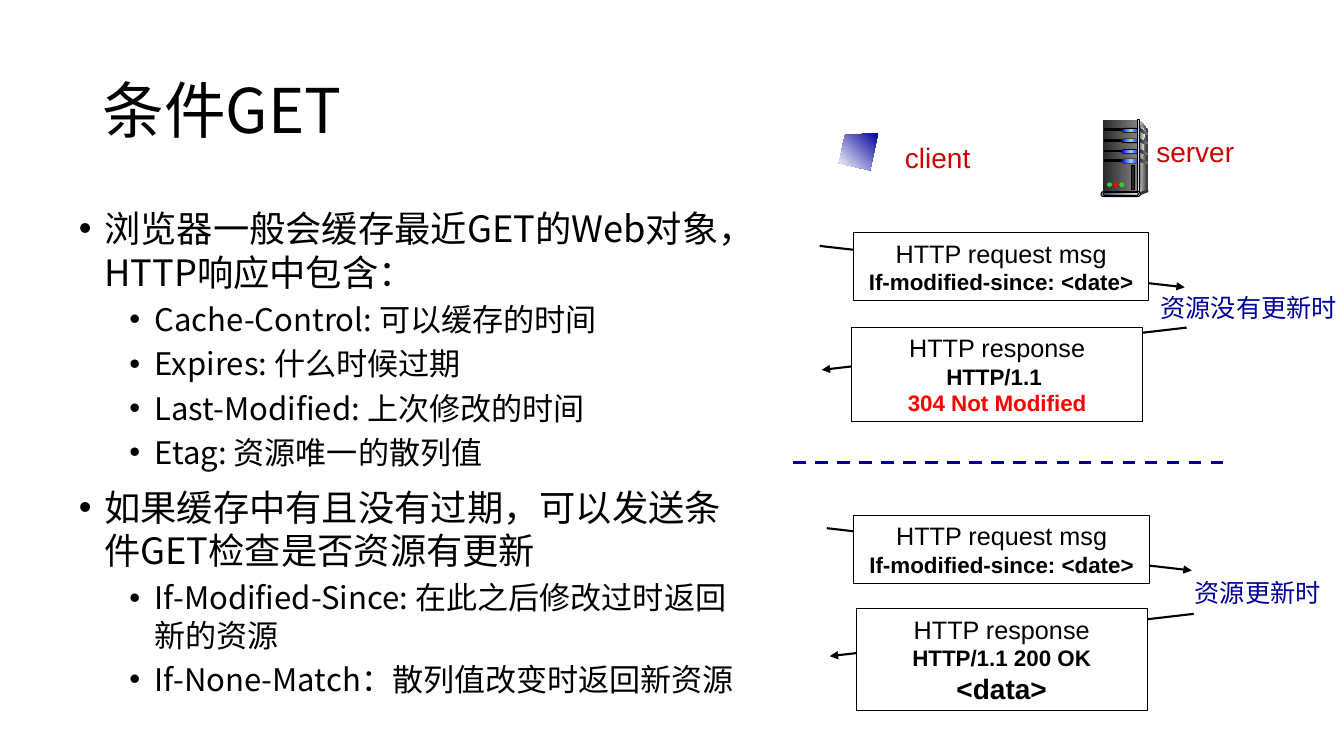
import copy
import pptx
import pptx.util
import pptx.dml.color
import pptx.enum.dml
import pptx.enum.shapes
import pptx.enum.text
import pptx.oxml.ns
import lxml.etree

RGB = pptx.dml.color.RGBColor
KIND = pptx.enum.shapes.MSO_SHAPE
ALIGN = pptx.enum.text.PP_ALIGN
BLACK, WHITE = RGB(0, 0, 0), RGB(255, 255, 255)
RED, BRICK, NAVY = RGB(255, 0, 0), RGB(0xCC, 0, 0), RGB(0, 0, 0x99)
GREEN, BLUE, SKY = RGB(0x33, 0xCC, 0x33), RGB(0, 0, 255), RGB(0x99, 0xCC, 0xFF)
COAL, DARK, GREY = RGB(0x29, 0x29, 0x29), RGB(0x33, 0x33, 0x33), RGB(0x80, 0x80, 0x80)
PALE, SNOW = RGB(0xDD, 0xDD, 0xDD), RGB(0xF8, 0xF8, 0xF8)
SLATE, MIST = RGB(0x44, 0x54, 0x6A), RGB(0xE7, 0xE6, 0xE6)
HAN, LATIN = "Noto Sans CJK SC", "Arial"

# Content
TITLE = "条件GET"
POINTS = [
    (0, "浏览器一般会缓存最近GET的Web对象，HTTP响应中包含："),
    (1, "Cache-Control: 可以缓存的时间"),
    (1, "Expires: 什么时候过期"),
    (1, "Last-Modified: 上次修改的时间"),
    (1, "Etag: 资源唯一的散列值"),
    (0, "如果缓存中有且没有过期，可以发送条件GET检查是否资源有更新"),
    (1, "If-Modified-Since: 在此之后修改过时返回新的资源"),
    (1, "If-None-Match：散列值改变时返回新资源"),
]
LEVELS = [(25.9, 0.25, 10), (22.2, 0.75, 5)]  # size, indent, space before
ASK = [("HTTP request msg", 18, False, BLACK),
       ("If-modified-since: <date>", 16, True, BLACK)]
SAME = [("HTTP response", 18, False, BLACK), ("HTTP/1.1 ", 16, True, BLACK),
        ("304 Not Modified", 16, True, RED)]
FRESH = [("HTTP response", 18, False, BLACK), ("HTTP/1.1 200 OK", 16, True, BLACK),
         ("<data>", 20, True, BLACK)]
# Arrow ends, box and lines, on a grid of 1333 columns by 750 rows
STEPS = [
    ((813, 244, 1175, 285), (846.5, 230.5, 293, 68), ASK),
    ((1177, 325, 815, 367), (844.5, 324.5, 289, 94), SAME),
    ((820, 524, 1182, 566), (847, 511, 293, 68), ASK),
    ((1184, 609, 823, 651), (849, 603.5, 289, 101), FRESH),
]
LABELS = [
    ("资源没有更新时", (1136.5, 285, 204, 40), 18, NAVY),
    ("资源更新时", (1174.5, 567.5, 146, 40), 18, NAVY),
    ("server", (1137, 128.5, 97, 43), 20, BRICK),
    ("client", (887, 134, 86, 44), 20, BRICK),
]

deck = pptx.Presentation()
deck.slide_width = pptx.util.Inches(13.33)
deck.slide_height = pptx.util.Inches(7.5)
slide = deck.slides.add_slide(deck.slide_layouts[6])
shapes = slide.shapes
COL, ROW = deck.slide_width / 1333, deck.slide_height / 750


def place(cells):
    return [round(n * (ROW if i % 2 else COL)) for i, n in enumerate(cells)]


def paint(shape, fill, line=None, turn=0):
    """One colour gives a flat fill, a list gives a gradient."""
    shape.shadow.inherit = False
    if isinstance(fill, list):
        shape.fill.gradient()
        shape.fill.gradient_angle = (360 - turn) % 360
        stops = shape.fill._fill._gradFill.gsLst
        while len(stops) < len(fill):
            stops.append(copy.deepcopy(stops[0]))
        for i, stop in enumerate(shape.fill.gradient_stops):
            stop.position = i / (len(fill) - 1)
            stop.color.rgb = fill[i]
    else:
        shape.fill.solid()
        shape.fill.fore_color.rgb = fill
    if line is None:
        shape.line.fill.background()
    else:
        shape.line.color.rgb = line
        shape.line.width = pptx.util.Pt(0.75)


def block(kind, cells, fill, line=None):
    shape = shapes.add_shape(kind, *place(cells))
    if kind == KIND.ROUNDED_RECTANGLE:
        shape.adjustments[0] = 0.5
    paint(shape, fill, line)
    return shape


def panel(points, fill, turn=0):
    spots = [place(p) for p in points]
    pen = shapes.build_freeform(*spots[0], scale=1.0)
    pen.add_line_segments(spots[1:], close=True)
    paint(pen.convert_to_shape(), fill, turn=turn)


def wire(cells, color, width, head=False, dash=False):
    line = shapes.add_connector(pptx.enum.shapes.MSO_CONNECTOR.STRAIGHT, *place(cells))
    line.line.color.rgb = color
    line.line.width = pptx.util.Pt(width)
    if dash:
        line.line.dash_style = pptx.enum.dml.MSO_LINE.DASH
    if head:
        tail = lxml.etree.SubElement(line.line._get_or_add_ln(), pptx.oxml.ns.qn("a:tailEnd"))
        tail.set("type", "triangle")
    lxml.etree.SubElement(line._element.spPr, pptx.oxml.ns.qn("a:effectLst"))


def write(para, text, size, color, font, bold=False):
    run = para.add_run()
    run.text = text
    run.font.size = pptx.util.Pt(size)
    run.font.bold = bold
    run.font.color.rgb = color
    run.font.name = font
    east = lxml.etree.SubElement(run._r.get_or_add_rPr(), pptx.oxml.ns.qn("a:ea"))
    east.set("typeface", HAN)


def textbox(cells, wrap=True):
    frame = shapes.add_textbox(*place(cells)).text_frame
    frame.word_wrap = wrap
    return frame


def lines(frame, rows):
    for i, (text, size, bold, color) in enumerate(rows):
        para = frame.add_paragraph() if i else frame.paragraphs[0]
        para.alignment = ALIGN.CENTER
        write(para, text, size, color, LATIN, bold)


# Title
frame = textbox((92, 40, 1150, 145))
frame.vertical_anchor = pptx.enum.text.MSO_ANCHOR.MIDDLE
frame.paragraphs[0].line_spacing = 0.9
write(frame.paragraphs[0], TITLE, 44, BLACK, HAN)

# Bullet list
frame = textbox((68.5, 200, 681, 521))
for i, (level, text) in enumerate(POINTS):
    size, left, gap = LEVELS[level]
    para = frame.add_paragraph() if i else frame.paragraphs[0]
    props = para._p.get_or_add_pPr()
    props.set("marL", str(pptx.util.Inches(left)))
    props.set("indent", str(pptx.util.Inches(-0.25)))
    lxml.etree.SubElement(props, pptx.oxml.ns.qn("a:buFont")).set("typeface", LATIN)
    lxml.etree.SubElement(props, pptx.oxml.ns.qn("a:buChar")).set("char", "•")
    para.level = level
    para.line_spacing = 1.0
    para.space_before = pptx.util.Pt(gap if i else 0)
    write(para, text, size, BLACK, HAN)

# Messages and the divider
for arrow, cells, rows in STEPS:
    wire(arrow, BLACK, 1.5, head=True)
    frame = block(KIND.RECTANGLE, cells, WHITE, BLACK).text_frame
    frame.word_wrap = True
    frame.vertical_anchor = pptx.enum.text.MSO_ANCHOR.MIDDLE
    lines(frame, rows)
wire((787, 459, 1214, 459), NAVY, 2.25, dash=True)

# Server tower
panel([(1131, 120), (1138, 128), (1138, 188), (1129, 191)], [PALE, DARK])
block(KIND.RECTANGLE, (1094, 119, 34, 72), [COAL, GREY])
panel([(1131, 124), (1136, 130), (1133, 160), (1131, 189)], [GREY, SNOW])
for top in (127, 137.5, 148, 157.5):
    block(KIND.RECTANGLE, (1095, top + 1, 19, 1.5), BLACK, BLACK)
    block(KIND.ROUNDED_RECTANGLE, (1112, top, 19, 4.5), BLACK)
    block(KIND.ROUNDED_RECTANGLE, (1112.5, top + 0.5, 18, 3.3), [BLUE, SKY, BLUE])
block(KIND.RECTANGLE, (1128, 119, 2, 72), [DARK, PALE, DARK], BLACK)
for top, drop in ((127, 5), (138, 3), (148, 4), (157, 4)):
    panel([(1130, top), (1138, top + drop), (1138, top + drop + 2), (1130, top + 3)],
          [COAL, GREY])
block(KIND.OVAL, (1137, 188, 2, 3), DARK)
panel([(1130, 191), (1130, 194), (1138, 191), (1138, 188)], DARK)
block(KIND.ROUNDED_RECTANGLE, (1092, 190, 39, 5), PALE, BLACK)
block(KIND.ROUNDED_RECTANGLE, (1094, 191, 35, 3), [SLATE, MIST], BLACK)
for i, color in enumerate((GREEN, RED, GREEN)):
    block(KIND.OVAL, (1098 + 6 * i, 181, 5, 4.5), color)
block(KIND.RECTANGLE, (1122, 164, 3, 24), COAL, BLACK)

# Client screen and labels
panel([(871, 132), (838, 134), (832, 162), (863, 169)], [NAVY, WHITE], turn=135)
for text, cells, size, color in LABELS:
    lines(textbox(cells, wrap=False), [(text, size, False, color)])

deck.save("out.pptx")
